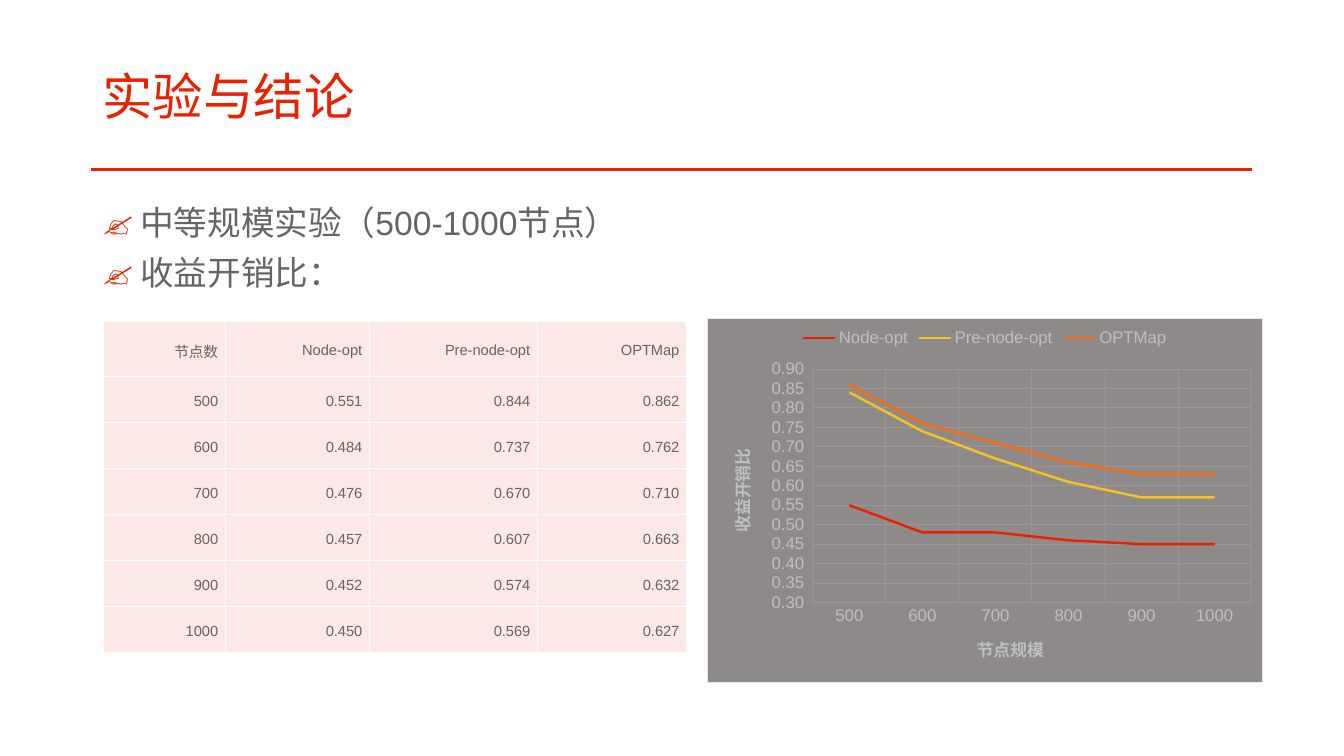
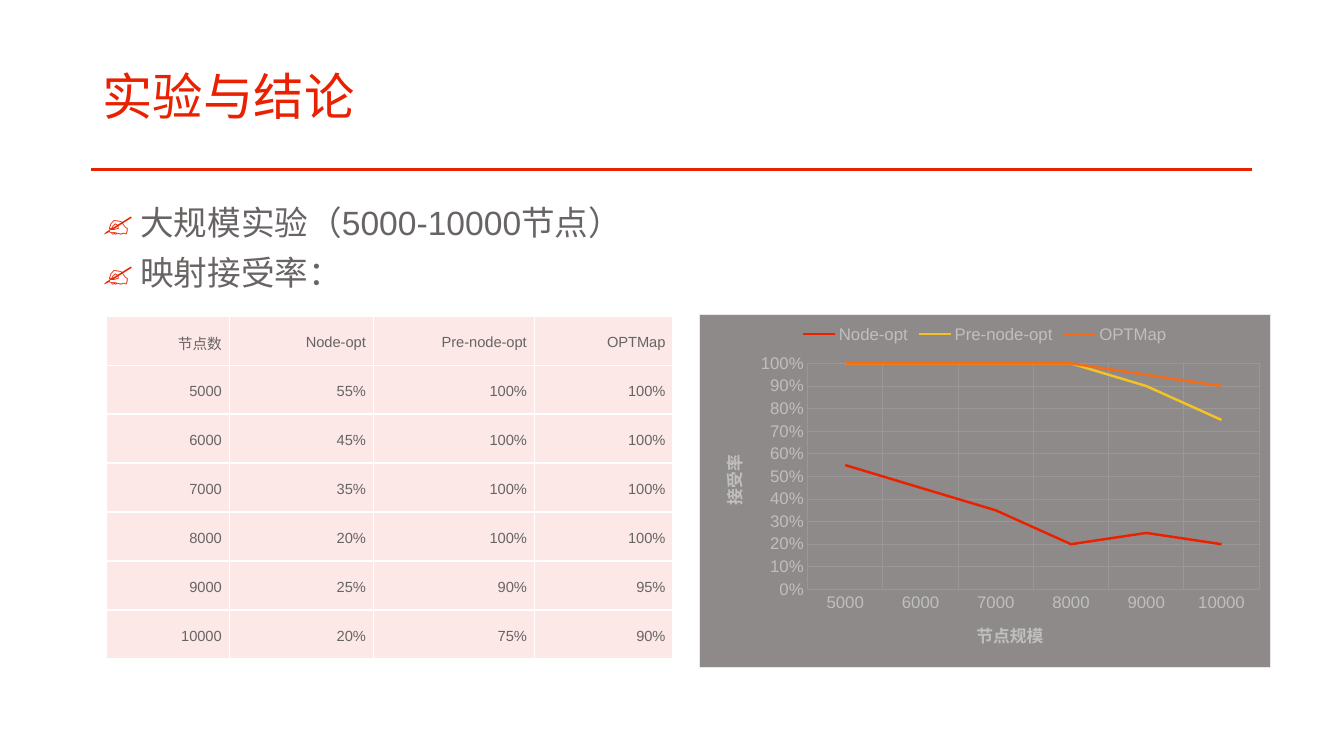
from lxml.etree import SubElement
from pptx import Presentation
from pptx.chart.data import CategoryChartData
from pptx.dml.color import RGBColor
from pptx.enum.chart import XL_CHART_TYPE, XL_LEGEND_POSITION, XL_TICK_MARK
from pptx.enum.shapes import MSO_CONNECTOR
from pptx.enum.text import MSO_ANCHOR, PP_ALIGN
from pptx.oxml import parse_xml
from pptx.oxml.ns import nsdecls, qn
from pptx.util import Pt

RED = RGBColor(0xE9, 0x21, 0x00)
YELLOW = RGBColor(0xF3, 0xC3, 0x24)
ORANGE = RGBColor(0xF6, 0x6B, 0x16)
INK = RGBColor(0x69, 0x64, 0x64)
PINK = RGBColor(0xFB, 0xE8, 0xE7)
WHITE = RGBColor(0xFF, 0xFF, 0xFF)
PANEL = RGBColor(0x8F, 0x8A, 0x8A)
PANEL_EDGE = RGBColor(0xE9, 0xE8, 0xE8)
GRID = RGBColor(0x9C, 0x97, 0x97)
AXIS_TEXT = RGBColor(0xBF, 0xBF, 0xBF)
FONT = "Arial"
HEADING = "实验与结论"
METHODS = {"Node-opt": RED, "Pre-node-opt": YELLOW, "OPTMap": ORANGE}

MEDIUM_SCALE = {
    500: (0.551, 0.844, 0.862),
    600: (0.484, 0.737, 0.762),
    700: (0.476, 0.670, 0.710),
    800: (0.457, 0.607, 0.663),
    900: (0.452, 0.574, 0.632),
    1000: (0.450, 0.569, 0.627),
}
LARGE_SCALE = {
    5000: (0.55, 1, 1),
    6000: (0.45, 1, 1),
    7000: (0.35, 1, 1),
    8000: (0.20, 1, 1),
    9000: (0.25, 0.90, 0.95),
    10000: (0.20, 0.75, 0.90),
}


def style_font(font, size, color, bold=False):
    font.name = FONT
    font.size = Pt(size)
    font.color.rgb = color
    font.bold = bold


def add_text(paragraph, text, size, color, spacing, before=0, after=0, align=PP_ALIGN.LEFT):
    paragraph.alignment = align
    paragraph.line_spacing = spacing
    paragraph.space_before = Pt(before)
    paragraph.space_after = Pt(after)
    run = paragraph.add_run()
    run.text = text
    style_font(run.font, size, color)


def add_bullet(paragraph):
    props = paragraph._p.get_or_add_pPr()
    props.set("marL", str(Pt(27)))
    props.set("indent", str(-Pt(27)))
    color = SubElement(props, qn("a:buClr"))
    SubElement(color, qn("a:srgbClr"), val=str(RED))
    SubElement(props, qn("a:buFont"), typeface=FONT)
    SubElement(props, qn("a:buChar"), char="✍")


def place(shape, left, top, width, height):
    shape.left, shape.top = Pt(left), Pt(top)
    shape.width, shape.height = Pt(width), Pt(height)


def set_up_master(prs):
    title, body = list(prs.slide_master.placeholders)[:2]
    place(title, 66, 32, 828, 77.8)
    place(body, 66, 144, 828, 368.6)


def move_rule_to_master(prs, slide):
    rule = slide.shapes.add_connector(MSO_CONNECTOR.STRAIGHT, Pt(894), Pt(121.2), Pt(65), Pt(121.2))
    rule.line.color.rgb = RED
    rule.line.width = Pt(1.75)
    SubElement(rule.element.spPr, qn("a:effectLst"))
    rule.element.nvCxnSpPr.cNvPr.set("id", "20")
    prs.slide_master.shapes.element.append(rule.element)


def add_content_slide(prs, bullets):
    slide = prs.slides.add_slide(prs.slide_layouts[1])
    title, body = slide.placeholders
    title.text_frame.vertical_anchor = MSO_ANCHOR.MIDDLE
    add_text(title.text_frame.paragraphs[0], HEADING, 36, RED, 0.9)
    frame = body.text_frame
    for index, bullet in enumerate(bullets):
        paragraph = frame.add_paragraph() if index else frame.paragraphs[0]
        add_text(paragraph, bullet, 24, INK, 0.9, before=10)
        add_bullet(paragraph)
    return slide


def border_cell(cell):
    props = cell._tc.get_or_add_tcPr()
    for side in ("lnL", "lnR", "lnT", "lnB"):
        edge = SubElement(props, qn(f"a:{side}"), w=str(Pt(1)))
        fill = SubElement(edge, qn("a:solidFill"))
        SubElement(fill, qn("a:srgbClr"), val=str(WHITE))


def fill_cell(cell, text, after):
    cell.margin_left = cell.margin_right = Pt(5.4)
    cell.margin_top = cell.margin_bottom = 0
    cell.vertical_anchor = MSO_ANCHOR.MIDDLE
    border_cell(cell)
    cell.fill.solid()
    cell.fill.fore_color.rgb = PINK
    add_text(cell.text_frame.paragraphs[0], text, 10.5, INK, 1.25, 12, after, PP_ALIGN.RIGHT)


def add_results_table(slide, results, left, top, widths, header_height, row_height, value_format):
    rows = [("节点数", *METHODS)]
    rows += [(str(nodes), *map(value_format.format, values)) for nodes, values in results.items()]
    heights = [header_height] + [row_height] * len(results)
    table = slide.shapes.add_table(
        len(rows), len(widths), Pt(left), Pt(top), Pt(sum(widths)), Pt(sum(heights))).table
    table.first_row = table.horz_banding = False
    for column, width in zip(table.columns, widths):
        column.width = Pt(width)
    for r, (texts, height) in enumerate(zip(rows, heights)):
        table.rows[r].height = Pt(height)
        for c, text in enumerate(texts):
            fill_cell(table.cell(r, c), text, after=0 if r else 10)


def manual_layout(x, y, width=None, height=None):
    inner = '<c:layoutTarget val="inner"/>' if width else ""
    size = f'<c:w val="{width}"/><c:h val="{height}"/>' if width else ""
    return parse_xml(
        f'<c:layout {nsdecls("c")}><c:manualLayout>{inner}<c:xMode val="edge"/><c:yMode val="edge"/>'
        f'<c:x val="{x:.2f}"/><c:y val="{y:.2f}"/>{size}</c:manualLayout></c:layout>')


def set_layout(parent, layout, predecessor=None):
    for old in parent.findall(qn("c:layout")):
        parent.remove(old)
    if predecessor is None:
        parent.insert(0, layout)
    else:
        predecessor.addnext(layout)


def style_axis(axis, title, x, y):
    axis.has_major_gridlines = True
    axis.major_gridlines.format.line.color.rgb = GRID
    axis.major_gridlines.format.line.width = Pt(0.75)
    axis.major_tick_mark = axis.minor_tick_mark = XL_TICK_MARK.NONE
    axis.format.line.fill.background()
    style_font(axis.tick_labels.font, 12, AXIS_TEXT)
    run = axis.axis_title.text_frame.paragraphs[0].add_run()
    run.text = title
    style_font(run.font, 12, AXIS_TEXT, bold=True)
    caption = axis.axis_title._element
    set_layout(caption, manual_layout(x, y), caption.find(qn("c:tx")))


def fill_panel(chart):
    panel = parse_xml(
        f'<c:spPr {nsdecls("c", "a")}><a:solidFill><a:srgbClr val="{PANEL}"/></a:solidFill>'
        f'<a:ln w="{Pt(0.75)}"><a:solidFill><a:srgbClr val="{PANEL_EDGE}"/></a:solidFill></a:ln></c:spPr>')
    chart.element.find(qn("c:txPr")).addprevious(panel)


def add_results_chart(slide, results, box, value_title, number_format, low, high, step):
    data = CategoryChartData()
    data.categories = [str(nodes) for nodes in results]
    for method, values in zip(METHODS, zip(*results.values())):
        data.add_series(method, [round(value, 2) for value in values])
    chart = slide.shapes.add_chart(XL_CHART_TYPE.LINE, *map(Pt, box), data).chart
    chart.has_title = False
    style_font(chart.font, 10, INK)
    fill_panel(chart)
    chart.has_legend = True
    chart.legend.position = XL_LEGEND_POSITION.TOP
    chart.legend.include_in_layout = False
    style_font(chart.legend.font, 12, AXIS_TEXT)
    plot = chart.plots[0]
    plot.vary_by_categories = False
    for series, color in zip(plot.series, METHODS.values()):
        series.smooth = False
        series.format.line.color.rgb = color
        series.format.line.width = Pt(1.75)
    style_axis(chart.category_axis, "节点规模", 0.48, 0.86)
    style_axis(chart.value_axis, value_title, 0.03, 0.46 - 6 * len(value_title) / box[3])
    value_axis = chart.value_axis
    value_axis.minimum_scale, value_axis.maximum_scale = low, high
    value_axis.major_unit = step
    value_axis.tick_labels.number_format = number_format
    value_axis.tick_labels.number_format_is_linked = False
    set_layout(chart.element.chart.plotArea, manual_layout(0.19, 0.14, 0.79, 0.64))


def main():
    prs = Presentation()
    prs.slide_width, prs.slide_height = Pt(960), Pt(540)
    set_up_master(prs)

    medium = add_content_slide(prs, ["中等规模实验（500-1000节点）", "收益开销比："])
    move_rule_to_master(prs, medium)
    add_results_table(medium, MEDIUM_SCALE, 74.2, 229.3, (87, 103, 120, 106.5), 39.5, 32.9, "{:.3f}")
    add_results_chart(medium, MEDIUM_SCALE, (505, 226.8, 397, 261.4), "收益开销比",
                      r"#,##0.00_);[Red]\(#,##0.00\)", 0.3, 0.9, 0.05)

    large = add_content_slide(prs, ["大规模实验（5000-10000节点）", "映射接受率："])
    add_results_table(large, LARGE_SCALE, 75.8, 225.8, (88, 103, 115, 99), 35, 35, "{:.0%}")
    add_results_chart(large, LARGE_SCALE, (499, 224, 409, 253), "接受率", "0%", 0, 1, 0.1)

    prs.save("out.pptx")


if __name__ == "__main__":
    main()
